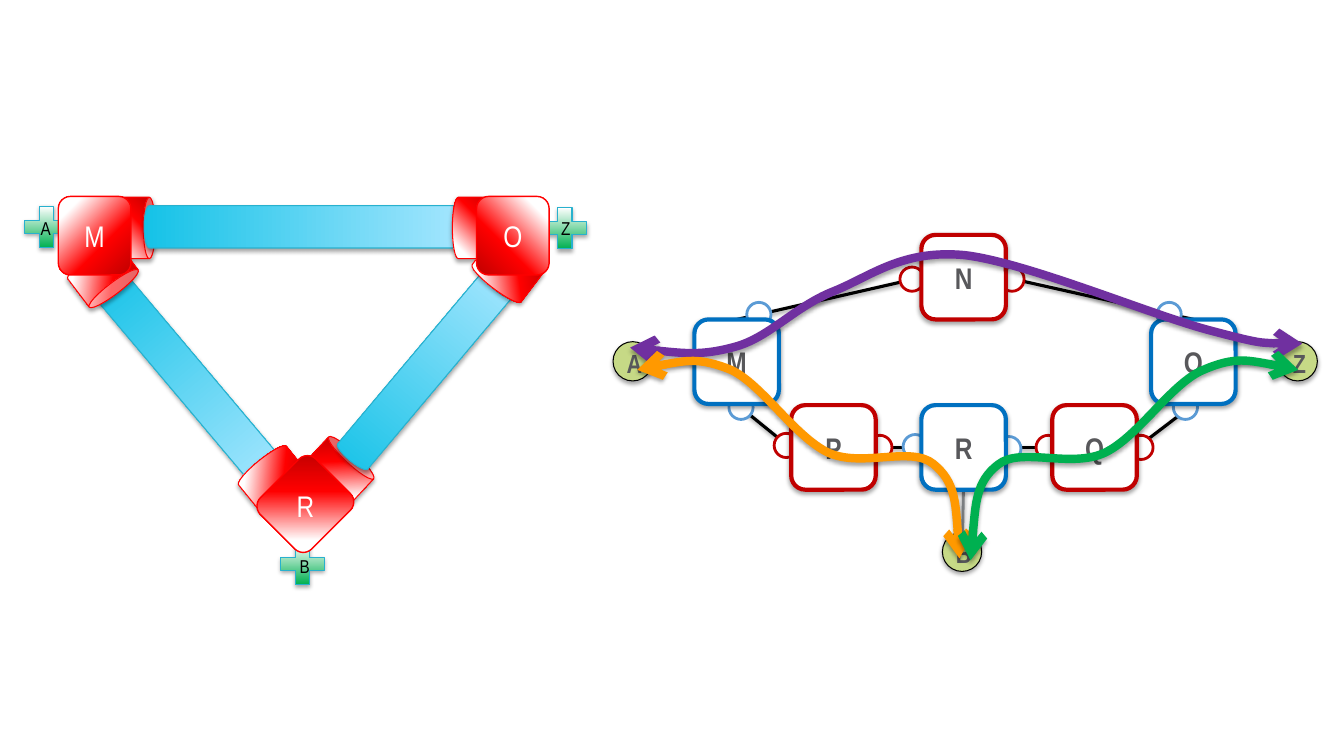
from lxml.etree import SubElement
from pptx import Presentation
from pptx.dml.color import RGBColor
from pptx.enum.shapes import MSO_CONNECTOR, MSO_SHAPE
from pptx.enum.text import MSO_ANCHOR, MSO_AUTO_SIZE, PP_ALIGN
from pptx.oxml.ns import qn
from pptx.util import Cm, Pt

HUES = {
    "white": "FFFFFF", "black": "000000", "text": "58585B", "grey": "7C7F82",
    "lime": "C6D986", "red": "C00000", "blue": "0070C0", "sky": "5B9BD5",
    "violet": "7030A0", "orange": "FF9900", "green": "00B050",
    "bright": "FF0000", "teal": "28B1CE", "cyan": "15C2E7", "pale": "A8E7FF",
}
FONT = "Arial Narrow"

# kind: preset, width, height, gradient stops, angle, line hue, line width, shadow
REDS = [(0, "red"), (38, "bright"), (84, "white")]
KINDS = {
    "plus": (MSO_SHAPE.CROSS, 1.09, 1.04, [(0, "green"), (100, "white")], 90,
             "teal", 0.75, True),
    "sleeve": (MSO_SHAPE.CAN, 1.55, 1.19, REDS, 315, "bright", 0.75, True),
    "pipe": (MSO_SHAPE.CAN, 0.99, 6.15, [(0, "cyan"), (100, "pale")], 90,
             "teal", 0.75, True),
    "hub": (MSO_SHAPE.ROUNDED_RECTANGLE, 1.83, 1.98, REDS, 135, "bright", 1, False),
}


def rgb(hue):
    """Look up a colour by name."""
    return RGBColor.from_string(HUES[hue])


def finish(shape, hue, width, alpha=0, dist=1.8):
    """Set the outline, then a soft drop shadow, or none if alpha is 0."""
    shape.line.color.rgb = rgb(hue)
    shape.line.width = Pt(width)
    props = shape._element.spPr
    effect = SubElement(props, qn("a:effectLst"))
    if alpha:
        drop = SubElement(effect, qn("a:outerShdw"), blurRad=str(Pt(3.1)),
                          dist=str(Pt(dist)), dir="5400000", rotWithShape="0")
        tone = SubElement(drop, qn("a:srgbClr"), val=HUES["black"])
        SubElement(tone, qn("a:alpha"), val=str(alpha * 1000))


def write(shape, text, size, hue, bold=False):
    """Centre one letter in a shape."""
    frame = shape.text_frame
    frame.word_wrap = True
    frame.vertical_anchor = MSO_ANCHOR.MIDDLE
    para = frame.paragraphs[0]
    para.text = text
    para.alignment = PP_ALIGN.CENTER
    font = para.font
    font.name, font.size, font.bold = FONT, Pt(size), bold
    font.color.rgb = rgb(hue)


def label(slide, x, y, w, h, text, size, hue, bold=False):
    """Add a text box with one letter."""
    box = slide.shapes.add_textbox(Cm(x), Cm(y), Cm(w), Cm(h))
    write(box, text, size, hue, bold)
    box.text_frame.auto_size = MSO_AUTO_SIZE.SHAPE_TO_FIT_TEXT


def solid(slide, form, x, y, side, fill, hue, width, alpha=0):
    """Add a square-boxed shape with a plain fill."""
    shape = slide.shapes.add_shape(form, Cm(x), Cm(y), Cm(side), Cm(side))
    shape.fill.solid()
    shape.fill.fore_color.rgb = rgb(fill)
    finish(shape, hue, width, alpha)


def link(slide, x1, y1, x2, y2, hue, width):
    """Add a straight line between two points."""
    line = slide.shapes.add_connector(MSO_CONNECTOR.STRAIGHT,
                                      Cm(x1), Cm(y1), Cm(x2), Cm(y2))
    finish(line, hue, width, 38, 1.6)


def node(slide, x, y, text, hue):
    """Add a rounded box with its letter."""
    solid(slide, MSO_SHAPE.ROUNDED_RECTANGLE, x, y, 2.13, "white", hue, 3, 35)
    label(slide, x, y + 0.48, 2.13, 1.17, text, 21.3, "text", True)


def port(slide, x, y, hue):
    """Add a small ring that a node partly covers."""
    solid(slide, MSO_SHAPE.OVAL, x, y, 0.61, "white", hue, 2)


def route(slide, left, top, hue, points):
    """Add a two-headed curve; after the start, points come in Bezier threes."""
    spots = [(Cm(left + x), Cm(top + y)) for x, y in points]
    build = slide.shapes.build_freeform(*spots[0])
    build.add_line_segments(spots[1:], close=False)
    shape = build.convert_to_shape()
    shape.fill.background()
    finish(shape, hue, 6, 35)
    for end in ("a:headEnd", "a:tailEnd"):
        SubElement(shape.line._get_or_add_ln(), qn(end), type="arrow")
    steps = list(shape._element.iter(qn("a:lnTo")))
    track = steps[0].getparent()
    for i in range(0, len(steps), 3):
        curve = SubElement(track, qn("a:cubicBezTo"))
        for step in steps[i:i + 3]:
            curve.append(step[0])
            track.remove(step)


def part(slide, kind, x, y, turn=0, flip="", size=None, text=""):
    """Add one gradient part of the ring, turned and flipped as asked."""
    form, w, h, stops, angle, hue, width, shaded = KINDS[kind]
    w, h = size or (w, h)
    shape = slide.shapes.add_shape(form, Cm(x), Cm(y), Cm(w), Cm(h))
    if kind == "plus":
        shape.adjustments[0] = 0.35
    shape.rotation = turn
    for axis in flip:
        shape._element.spPr.xfrm.set("flip" + axis, "1")
    shape.fill.gradient()
    shape.fill.gradient_angle = angle
    ramp = next(shape._element.iter(qn("a:gsLst")))
    for stop in list(ramp):
        ramp.remove(stop)
    for spot, tone in stops:
        stop = SubElement(ramp, qn("a:gs"), pos=str(spot * 1000))
        SubElement(stop, qn("a:srgbClr"), val=HUES[tone])
    finish(shape, hue, width, 35 if shaded else 0)
    if text:
        write(shape, text, 21.3, "white")


def network(slide, left, top):
    """Draw the node network and its three routes."""
    for x1, y1, x2, y2 in [
            (14.66, 2.13, 9.93, 1.07), (7.8, 1.07, 3.15, 2.13),
            (4.52, 5.38, 3.15, 4.27), (14.66, 4.27, 13.23, 5.36),
            (7.8, 5.36, 6.65, 5.36), (11.1, 5.36, 9.93, 5.36)]:
        link(slide, left + x1, top + y1, left + x2, top + y2, "black", 2.25)
    for x, y, text in [(0.03, 2.69, "A"), (16.79, 2.69, "Z"), (8.33, 7.49, "B")]:
        solid(slide, MSO_SHAPE.OVAL, left + x, top + y, 0.99, "lime", "black", 0.75, 35)
        label(slide, left + x, top + y, 1.07, 1.07, text, 18.7, "text", True)
    for x1, y1, x2, y2 in [(15.72, 3.2, 16.79, 3.2), (0.99, 3.2, 2.08, 3.2),
                           (8.86, 6.43, 8.84, 7.49)]:
        link(slide, left + x1, top + y1, left + x2, top + y2, "grey", 2)
    for hue, spots in [
            ("red", [(7.26, 0.81), (9.78, 0.81), (4.09, 5), (6.45, 5.05),
                     (10.69, 5.05), (13.03, 5.05)]),
            ("sky", [(3.4, 1.7), (13.74, 1.7), (2.95, 4.04), (14.15, 4.04)])]:
        for x, y in spots:
            port(slide, left + x, top + y, hue)
    for x, y, text, hue in [
            (2.08, 2.13, "M", "blue"), (7.8, 0, "N", "red"), (13.59, 2.13, "O", "blue"),
            (4.52, 4.29, "P", "red"), (11.1, 4.29, "Q", "red")]:
        node(slide, left + x, top + y, text, hue)
    route(slide, left, top, "violet", [
        (0.46, 2.84), (1.35, 2.95), (2.26, 3.05), (3.1, 2.82),
        (3.96, 2.59), (4.62, 1.8), (5.59, 1.42), (6.53, 1.04), (7.32, 0.36), (8.89, 0.51),
        (10.44, 0.69), (13.59, 2.01), (15.01, 2.39),
        (16.43, 2.77), (16.92, 2.77), (17.4, 2.74)])
    port(slide, left + 7.34, top + 5.03, "sky")
    port(slide, left + 9.7, top + 5.08, "sky")
    node(slide, left + 7.8, top + 4.29, "R", "blue")
    route(slide, left, top, "orange", [
        (0.64, 3.4), (1.4, 3.23), (2.18, 3.07), (3, 3.4),
        (3.78, 3.76), (4.6, 5.08), (5.46, 5.49), (6.3, 5.87), (7.54, 5.31), (8.1, 5.77),
        (8.66, 6.22), (8.71, 7.19), (8.76, 8.15)])
    route(slide, left, top, "green", [
        (17.3, 3.4), (16.51, 3.23), (15.72, 3.05), (14.91, 3.4),
        (14.1, 3.73), (13.28, 5.08), (12.42, 5.49), (11.56, 5.89), (10.29, 5.33), (9.73, 5.79),
        (9.17, 6.22), (9.12, 7.21), (9.04, 8.2)])


def ring(slide, left, top):
    """Draw the triangle of hubs joined by pipes."""
    for kind, x, y, *rest in [
            ("plus", 6.5, 8.74),
            ("sleeve", 7.19, 6.32, 43),
            ("pipe", 3.68, 1.52, 319.9, "HV"),
            ("sleeve", 5.54, 6.53, 320.9, "HV"),
            ("hub", 6.2, 6.76, 225),
            ("pipe", 9.63, 1.45, 40.1, "H", (0.99, 5.89)),
            ("plus", 0.05, 0.25),
            ("sleeve", 1.96, 0.2, 90),
            ("sleeve", 1.24, 1.37, 142.8),
            ("hub", 0.89, 0, 0, "", None, "M"),
            ("pipe", 6.63, -3.35, 90, "", (1.07, 8.23)),
            ("plus", 13.11, 0.28),
            ("sleeve", 10.64, 0.2, 90),
            ("sleeve", 11.43, 1.24, 217.2, "V"),
            ("hub", 11.43, 0, 0, "H", None, "O")]:
        part(slide, kind, left + x, top + y, *rest)
    label(slide, left + 6.55, top + 7.21, 1.14, 1.17, "R", 21.3, "white")
    for x, y, text in [(0, 0.38, "A"), (13.11, 0.38, "Z"), (6.53, 8.89, "B")]:
        label(slide, left + x, top + y, 1.14, 0.84, text, 13.3, "black")


deck = Presentation()
deck.slide_width, deck.slide_height = Cm(33.87), Cm(19.05)
page = deck.slides.add_slide(deck.slide_layouts[6])
network(page, 15.42, 5.92)
ring(page, 0.58, 4.95)
deck.save("out.pptx")
